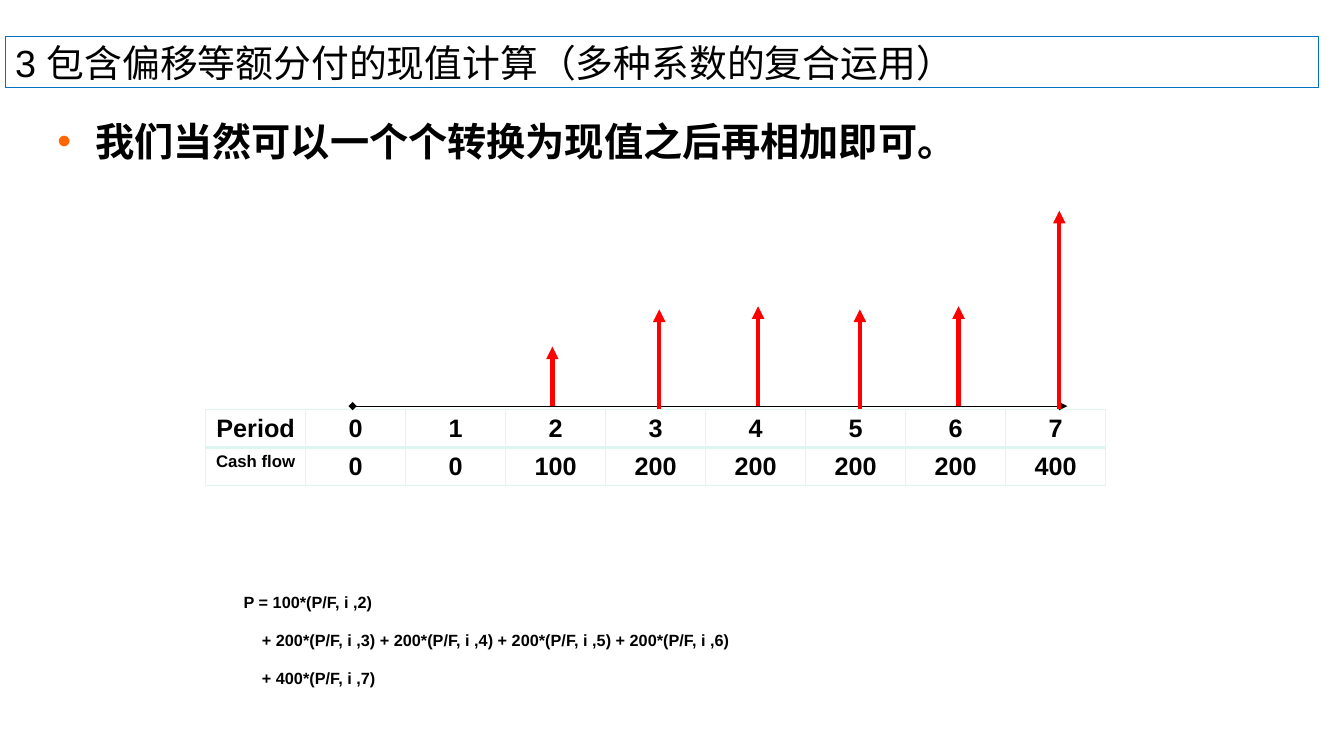
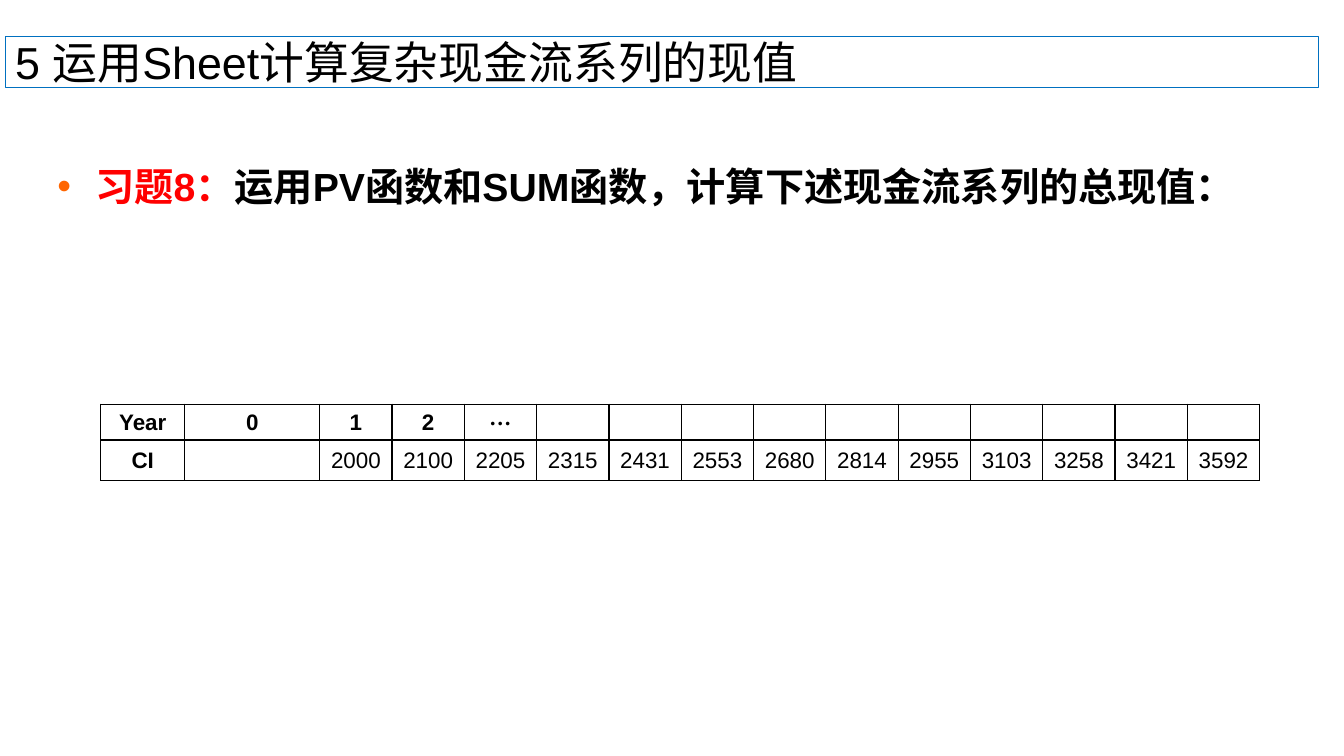
import pptx
import pptx.util
import pptx.dml.color
import pptx.enum.shapes
import pptx.enum.text
import pptx.oxml
import pptx.oxml.ns

Pt = pptx.util.Pt
ALIGN = pptx.enum.text.PP_ALIGN
ANCHOR = pptx.enum.text.MSO_ANCHOR
COLORS = {
    "text": "000000",
    "accent": "FF0000",
    "bullet": "FF6600",
    "frame": "0070C0",
    "grid": "DEF6F1",
}
FONT = "Arial"
CJK_FONT = "Noto Sans CJK SC"
TITLE_BOX = (3.6, 26, 938, 36.6)


def rgb(name):
    return pptx.dml.color.RGBColor.from_string(COLORS[name])


def add_xml(parent, xml):
    ns = pptx.oxml.ns.nsdecls("a")
    tag, rest = xml.split(" ", 1)
    parent.append(pptx.oxml.parse_xml(f"{tag} {ns} {rest}"))


def set_font(font, size, bold=False, color="text", name=FONT):
    font.size = Pt(size)
    font.bold = bold
    font.name = name
    font.color.rgb = rgb(color)


def add_title(slide, text, size):
    sp = slide.shapes.title
    sp.left, sp.top, sp.width, sp.height = map(Pt, TITLE_BOX)
    sp.line.color.rgb = rgb("frame")
    sp.line.width = Pt(0.75)
    tf = sp.text_frame
    tf.auto_size = pptx.enum.text.MSO_AUTO_SIZE.NONE
    tf.vertical_anchor = ANCHOR.MIDDLE
    tf.text = text
    p = tf.paragraphs[0]
    p.alignment = ALIGN.LEFT
    set_font(p.font, size)


def add_text_box(slide, box):
    tf = slide.shapes.add_textbox(*map(Pt, box)).text_frame
    tf.word_wrap = True
    return tf


def add_bullet(slide, box, parts):
    p = add_text_box(slide, box).paragraphs[0]
    p.line_spacing = 1.1
    p.space_before = Pt(5.6)
    pPr = p._p.get_or_add_pPr()
    pPr.set("marL", str(Pt(27)))
    pPr.set("indent", str(-Pt(27)))
    add_xml(pPr, f'<a:buClr ><a:srgbClr val="{COLORS["bullet"]}"/></a:buClr>')
    add_xml(pPr, f'<a:buFont typeface="{FONT}"/>')
    add_xml(pPr, '<a:buChar char="•"/>')
    for text, color in parts:
        r = p.add_run()
        r.text = text
        set_font(r.font, 28, True, color)


def add_line(slide, start, end, color, width, head="none"):
    cn = slide.shapes.add_connector(
        pptx.enum.shapes.MSO_CONNECTOR.STRAIGHT, *map(Pt, start + end))
    cn.line.color.rgb = rgb(color)
    cn.line.width = Pt(width)
    spPr = cn._element.spPr
    ln = spPr.find(pptx.oxml.ns.qn("a:ln"))
    add_xml(ln, f'<a:headEnd type="{head}"/>')
    add_xml(ln, '<a:tailEnd type="triangle"/>')
    add_xml(spPr, "<a:effectLst />")


def set_borders(cell, color, widths):
    tcPr = cell._tc.get_or_add_tcPr()
    for side, width in zip("LRTB", widths):
        add_xml(tcPr, f'<a:ln{side} w="{Pt(width)}"><a:solidFill>'
                      f'<a:srgbClr val="{COLORS[color]}"/></a:solidFill></a:ln{side}>')


def add_grid(slide, left, top, cols, heights, rows, color, rule, style,
             anchor, margins):
    gf = slide.shapes.add_table(len(rows), len(cols), Pt(left), Pt(top),
                                Pt(sum(cols)), Pt(sum(heights)))
    table = gf.table
    table.first_row = table.horz_banding = False
    for column, width in zip(table.columns, cols):
        column.width = Pt(width)
    for row, height in zip(table.rows, heights):
        row.height = Pt(height)
    side, above, below = map(Pt, margins)
    for i, values in enumerate(rows):
        for j, value in enumerate(values):
            cell = table.cell(i, j)
            set_borders(cell, color, (1, 1, rule if i else 1, 1 if i else rule))
            cell.fill.background()
            cell.vertical_anchor = anchor
            cell.margin_left = cell.margin_right = side
            cell.margin_top, cell.margin_bottom = above, below
            cell.text = value
            p = cell.text_frame.paragraphs[0]
            p.alignment = ALIGN.CENTER
            set_font(p.font, **style(i, j, value))


def add_cash_flow(slide, left, top):
    flows = [0, 0, 100, 200, 200, 200, 200, 400]
    rows = [["Period"] + [str(n) for n in range(len(flows))],
            ["Cash flow"] + [str(f) for f in flows]]
    add_grid(slide, left, top, [71.45] * 9, [27.4] * 2, rows, "grid", 3,
             lambda i, j, value: {"size": 12 if i and not j else 18, "bold": True},
             ANCHOR.TOP, (7.2, 3.6, 2))
    axis = top - 2.2
    add_line(slide, (left + 105, axis), (left + 615.5, axis), "text", 0.75, "diamond")
    arrows = [(247.7, axis, 42.5), (324, top, 71.3), (394.6, axis, 71.3),
              (467.3, top, 71.3), (537.8, axis, 71.3), (609.8, top, 141.8)]
    for x, base, length in arrows:
        add_line(slide, (left + x, base), (left + x, base - length), "accent", 3)


def add_formula(slide, box):
    terms = ["P = 100*(P/F, i ,2)",
             "+ " + " + ".join(f"200*(P/F, i ,{n})" for n in range(3, 7)),
             "+ 400*(P/F, i ,7)"]
    tf = add_text_box(slide, box)
    for i, term in enumerate(terms):
        p = tf.add_paragraph() if i else tf.paragraphs[0]
        if i:
            p._p.get_or_add_pPr().set("marL", str(Pt(13)))
        set_font(p.font, 20, True)
        r = p.add_run()
        r.text = term
        r._r.get_or_add_rPr().set("baseline", "-25000")


def add_income_table(slide, left, top):
    incomes = [2000, 2100, 2205, 2315, 2431, 2553, 2680,
               2814, 2955, 3103, 3258, 3421, 3592]
    rows = [["Year", "0", "1", "2", "…"] + [""] * 10,
            ["CI", ""] + [str(n) for n in incomes]]
    add_grid(slide, left, top, [60, 96.4] + [51.65] * 13, [25.4, 29.2], rows,
             "text", 1.5,
             lambda i, j, value: {"size": 16, "bold": i == 0 or j == 0,
                                  "name": CJK_FONT if value == "…" else FONT},
             ANCHOR.MIDDLE, (0.7, 0.7, 0))


def build_present_value(slide):
    add_title(slide, "3 包含偏移等额分付的现值计算（多种系数的复合运用）", 27)
    add_bullet(slide, (34, 77, 892, 442),
               [("我们当然可以一个个转换为现值之后再相加即可。", "text")])
    add_cash_flow(slide, 146.9, 292.3)
    add_formula(slide, (167, 406, 701, 80))


def build_exercise(slide):
    add_title(slide, "5 运用Sheet计算复杂现金流系列的现值", 32)
    add_bullet(slide, (34, 109.4, 892, 410),
               [("习题8：", "accent"),
                ("运用PV函数和SUM函数，计算下述现金流系列的总现值：", "text")])
    add_income_table(slide, 72, 288.7)


def main():
    prs = pptx.Presentation()
    prs.slide_width, prs.slide_height = Pt(960), Pt(540)
    for build in (build_present_value, build_exercise):
        build(prs.slides.add_slide(prs.slide_layouts[5]))
    prs.save("out.pptx")


if __name__ == "__main__":
    main()
